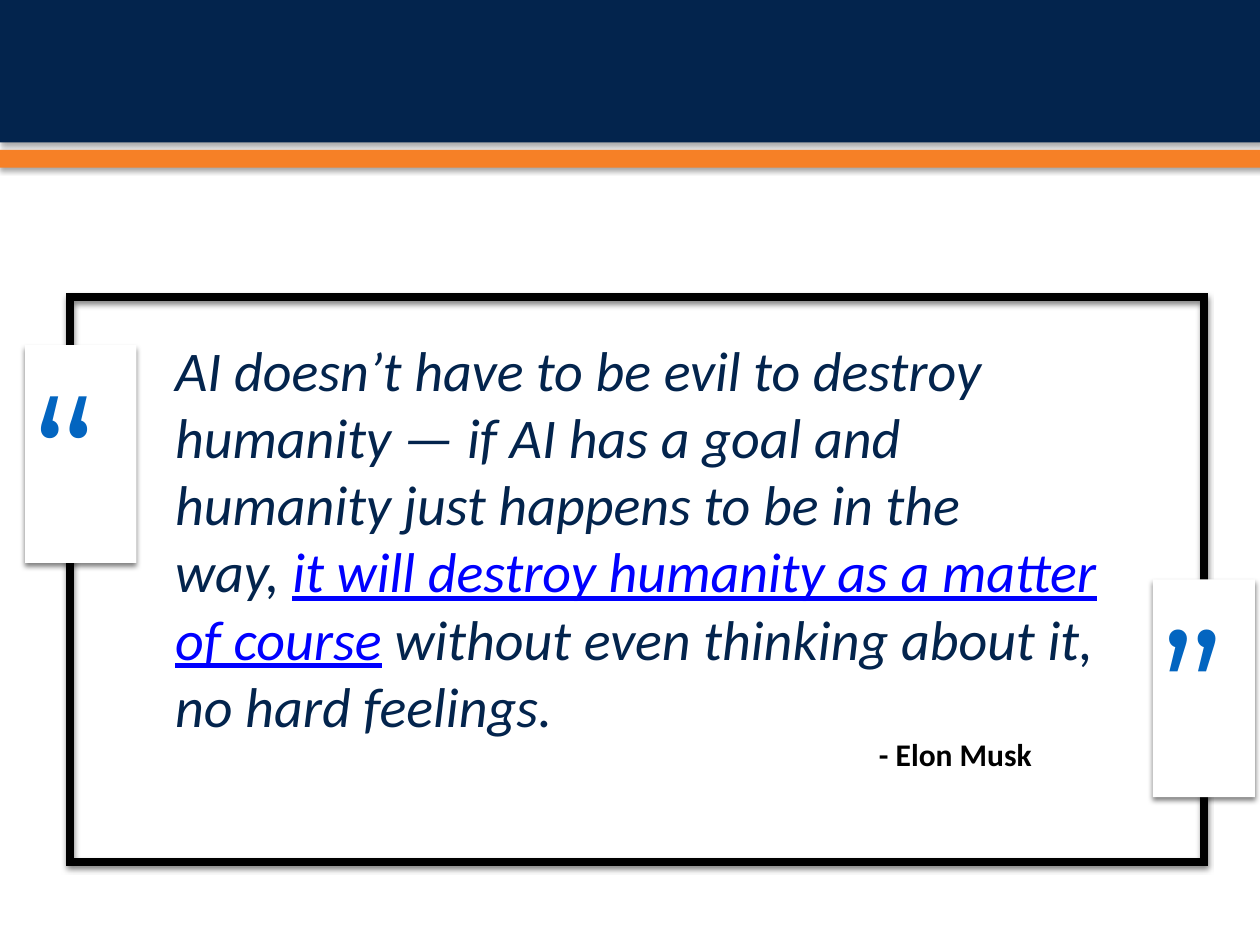
"""Build a quotation slide with a banded header and a framed quote."""
from typing import NamedTuple, Optional

from lxml import etree
from pptx import Presentation
from pptx import util as u
from pptx.dml.color import RGBColor
from pptx.enum import shapes, text
from pptx.oxml.ns import qn

NAVY, ORANGE, BLUE, LINK = "03244D", "F68026", "0365C0", "0000FF"
BLACK, WHITE = "000000", "FFFFFF"
HARD_SPACE = chr(160)


class Area(NamedTuple):
    left: float
    top: float
    width: float
    height: float


class Shadow(NamedTuple):
    opacity: int
    distance: float


class Piece(NamedTuple):
    wording: str
    size: float
    color: str
    font: str = "Calibri"
    bold: bool = False
    italic: bool = False
    underline: bool = False


class Panel(NamedTuple):
    area: Area
    shadow: Shadow
    fill: Optional[str] = None
    line: Optional[str] = None
    mark: Optional[str] = None


HEADER_SHADOW = Shadow(35, 1.8)
PANEL_SHADOW = Shadow(50, 2)

HEADER = [
    Panel(Area(0, 0, 25.48, 2.87), HEADER_SHADOW, NAVY),
    Panel(Area(0, 3.02, 25.48, 0.36), HEADER_SHADOW, ORANGE),
]
FRAME = [
    Panel(Area(1.42, 5.99, 22.86, 11.38), PANEL_SHADOW, line=BLACK),
    Panel(Area(0.51, 6.96, 2.24, 4.39), PANEL_SHADOW, WHITE, mark="“"),
    Panel(Area(23.24, 11.68, 2.06, 4.39), PANEL_SHADOW, WHITE, mark="”"),
]
QUOTE = [
    Piece("AI doesn’t have to be evil to destroy humanity — if AI has a goal and "
          "humanity just happens to be in the way," + HARD_SPACE, 32, NAVY, italic=True),
    Piece("it will destroy humanity as a matter of course", 32, LINK,
          italic=True, underline=True),
    Piece(HARD_SPACE, 32, BLUE, italic=True),
    Piece("without even thinking about it, no hard feelings.", 32, NAVY, italic=True),
]
AUTHOR = [Piece("- Elon Musk", 18, BLACK, bold=True)]


def rgb(value: str) -> RGBColor:
    return RGBColor.from_string(value)


def lengths(area: Area) -> list:
    return [u.Cm(value) for value in area]


def add_shadow(shape, shadow: Shadow) -> None:
    shape.shadow.inherit = False
    effects = shape._element.spPr.find(qn("a:effectLst"))
    outer = etree.SubElement(
        effects, qn("a:outerShdw"), blurRad=str(u.Pt(3)),
        dist=str(u.Pt(shadow.distance)), dir="5400000", rotWithShape="0")
    color = etree.SubElement(outer, qn("a:srgbClr"), val=BLACK)
    etree.SubElement(color, qn("a:alpha"), val=str(shadow.opacity * 1000))


def write(shape, pieces: list, inset: float, anchor, space_before: float = 0) -> None:
    frame = shape.text_frame
    frame.word_wrap = True
    frame.vertical_anchor = anchor
    frame.margin_left = frame.margin_right = u.Cm(inset)
    frame.margin_top = frame.margin_bottom = u.Cm(inset)
    paragraph = frame.paragraphs[0]
    paragraph.alignment = text.PP_ALIGN.LEFT
    paragraph.space_before = u.Pt(space_before)
    for piece in pieces:
        run = paragraph.add_run()
        run.text = piece.wording
        font = run.font
        font.name, font.size = piece.font, u.Pt(piece.size)
        font.bold, font.italic, font.underline = piece.bold, piece.italic, piece.underline
        font.color.rgb = rgb(piece.color)


def add_panel(slide, panel: Panel) -> None:
    shape = slide.shapes.add_shape(shapes.MSO_SHAPE.RECTANGLE, *lengths(panel.area))
    add_shadow(shape, panel.shadow)
    if panel.fill:
        shape.fill.solid()
        shape.fill.fore_color.rgb = rgb(panel.fill)
    else:
        shape.fill.background()
    if panel.line:
        shape.line.color.rgb = rgb(panel.line)
        shape.line.width = u.Pt(4.5)
        outline = shape._element.spPr.find(qn("a:ln"))
        etree.SubElement(outline, qn("a:miter"), lim="800000")
    else:
        shape.line.fill.background()
    if panel.mark:
        write(shape, [Piece(panel.mark, 96, BLUE, "Montserrat")], 0.15,
              text.MSO_ANCHOR.MIDDLE)


def add_text(slide, area: Area, pieces: list, inset: float, anchor,
             space_before: float = 0) -> None:
    box = slide.shapes.add_textbox(*lengths(area))
    write(box, pieces, inset, anchor, space_before)


def main() -> None:
    presentation = Presentation()
    presentation.slide_width, presentation.slide_height = u.Cm(25.4), u.Cm(19.05)
    slide = presentation.slides.add_slide(presentation.slide_layouts[6])
    for panel in HEADER:
        add_panel(slide, panel)
    add_text(slide, Area(3.43, 6.66, 19.1, 8.38), QUOTE, 0.1, text.MSO_ANCHOR.TOP, 7)
    for panel in FRAME:
        add_panel(slide, panel)
    add_text(slide, Area(17.57, 14.67, 3.91, 1.07), AUTHOR, 0.15, text.MSO_ANCHOR.MIDDLE)
    presentation.save("out.pptx")


if __name__ == "__main__":
    main()
